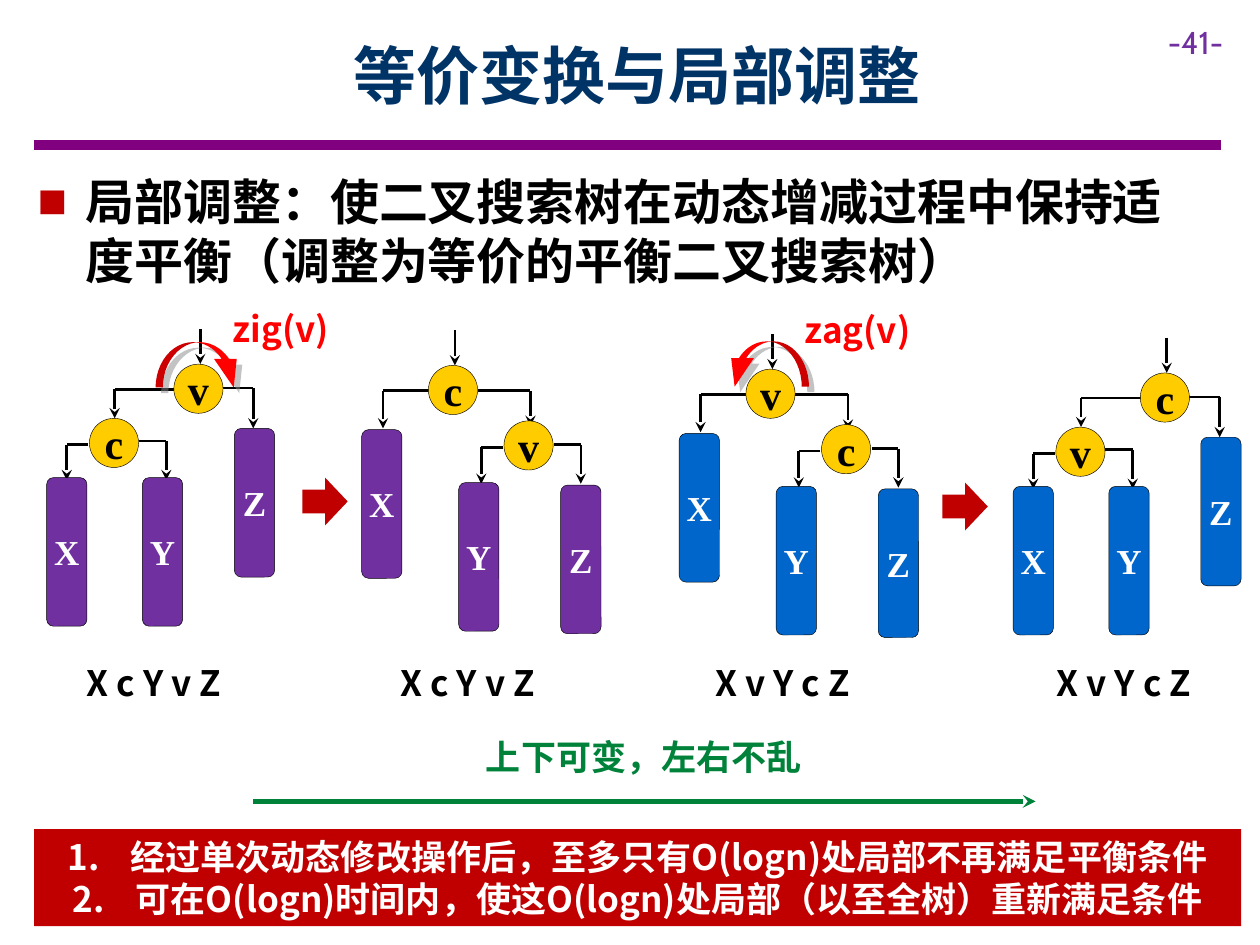
"""Build the slide on equivalent transformation and local adjustment of search trees."""
import lxml.etree
import pptx
import pptx.dml.color
import pptx.enum.shapes
import pptx.enum.text
import pptx.oxml
import pptx.oxml.ns
import pptx.util

Inches, Pt = pptx.util.Inches, pptx.util.Pt
rgb = pptx.dml.color.RGBColor.from_string
qn = pptx.oxml.ns.qn
SHAPE = pptx.enum.shapes.MSO_SHAPE
ALIGN = pptx.enum.text.PP_ALIGN
ANCHOR = pptx.enum.text.MSO_ANCHOR
NOTO, TIMES = "Noto Sans CJK SC", "Times New Roman"
RED, GREEN, PURPLE, BLUE = "C00000", "00823B", "7030A0", "0066CC"


def write(sp, text, size=20, font=NOTO, color="000000", bold=True, align=ALIGN.LEFT,
          anchor=ANCHOR.TOP, margins=(0.1, 0.05), indent=0, bullet=(), after=0):
    tf = sp.text_frame
    tf.word_wrap = True
    tf.vertical_anchor = anchor
    tf.margin_left = tf.margin_right = Inches(margins[0])
    tf.margin_top = tf.margin_bottom = Inches(margins[1])
    for i, line_text in enumerate(text.split("\n")):
        p = tf.add_paragraph() if i else tf.paragraphs[0]
        pPr = p._p.get_or_add_pPr()
        if indent:
            pPr.set("marL", str(Inches(indent)))
            pPr.set("indent", str(-Inches(indent)))
        for tag, attrs in bullet:
            lxml.etree.SubElement(pPr, qn(tag), attrs)
            if tag == "a:buClr":
                lxml.etree.SubElement(pPr[-1], qn("a:srgbClr"), val=RED)
        p.alignment = align
        p.space_before = Pt(0)
        p.space_after = Pt(after)
        r = p.add_run()
        r.text = line_text
        r.font.size = Pt(size)
        r.font.bold = bold
        r.font.name = font
        r.font.color.rgb = rgb(color)
        lxml.etree.SubElement(r._r.get_or_add_rPr(), qn("a:ea"), typeface=font)


def line(x1, y1, x2, y2, color="000000", width=1.5, arrow=False):
    cx = s.shapes.add_connector(pptx.enum.shapes.MSO_CONNECTOR.STRAIGHT,
                                Inches(x1), Inches(y1), Inches(x2), Inches(y2))
    cx.line.color.rgb = rgb(color)
    cx.line.width = Pt(width)
    if arrow:
        lxml.etree.SubElement(cx.line._get_or_add_ln(), qn("a:tailEnd"), type="stealth")
    lxml.etree.SubElement(cx._element.spPr, qn("a:effectLst"))


prs = pptx.Presentation()
prs.slide_width, prs.slide_height = Inches(10), Inches(7.5)
s = prs.slides.add_slide(prs.slide_layouts[5])

title = s.shapes.title
title.left, title.top, title.width, title.height = map(Inches, (0.9, 0.09, 8.31, 1))
write(title, "等价变换与局部调整", size=36, color="003366", align=ALIGN.CENTER,
      anchor=ANCHOR.MIDDLE)
line(0.27, 1.15, 9.69, 1.15, "800080", 6)

square = [("a:buClr", {}), ("a:buFont", {"typeface": TIMES}), ("a:buChar", {"char": "■"})]
zig_zag = {"color": "FF0000", "after": 6}
texts = [
    (9.17, 0.13, 0.83, 0.4, "-41-",
     {"size": 18, "font": "Cabin", "color": PURPLE, "bold": False}),
    (0.2, 1.31, 9.21, 1.04,
     "局部调整：使二叉搜索树在动态增减过程中保持适度平衡（调整为等价的平衡二叉搜索树）",
     {"size": 28, "indent": 0.38, "bullet": square, "after": 6}),
    (3.56, 5.79, 3.1, 0.44, "上下可变，左右不乱", {"color": GREEN, "align": ALIGN.CENTER}),
    (0.59, 5.2, 1.41, 0.44, "X c Y v Z", {"after": 6}),
    (3.08, 5.2, 1.41, 0.44, "X c Y v Z", {"after": 6}),
    (5.58, 5.2, 1.42, 0.44, "X v Y c Z", {"after": 6}),
    (8.29, 5.2, 1.42, 0.44, "X v Y c Z", {"after": 6}),
    (1.75, 2.39, 1.03, 0.44, "zig(v)", zig_zag),
    (6.29, 2.4, 1.07, 0.44, "zag(v)", zig_zag),
]
for x, y, w, h, text, fmt in texts:
    write(s.shapes.add_textbox(Inches(x), Inches(y), Inches(w), Inches(h)), text, **fmt)

left_heavy = {
    "child": (-0.67, 0.43),
    "leaves": [("X", -1.01, 0.9), ("Y", -0.25, 0.9), ("Z", 0.48, 0.51)],
    "edges": [(0.05, 0.2, -0.47, 0.43), (0.39, 0.19, 0.63, 0.51),
              (-0.68, 0.64, -0.85, 0.92), (-0.28, 0.61, -0.06, 0.92)],
}
right_heavy = {
    "child": (0.6, 0.44),
    "leaves": [("X", -0.53, 0.51), ("Y", 0.24, 0.93), ("Z", 1.05, 0.95)],
    "edges": [(0.05, 0.2, -0.36, 0.5), (0.39, 0.2, 0.81, 0.48),
              (0.59, 0.65, 0.42, 0.94), (1, 0.63, 1.21, 0.94)],
}
trees = [
    (1.38, 2.89, "v", "c", left_heavy, PURPLE),
    (3.4, 2.9, "c", "v", right_heavy, PURPLE),
    (5.92, 2.93, "v", "c", right_heavy, BLUE),
    (9.05, 2.96, "c", "v", left_heavy, BLUE),
]
for x, y, root, child, form, color in trees:
    line(x + 0.21, y - 0.28, x + 0.21, y, arrow=True)
    for x1, y1, x2, y2 in form["edges"]:
        line(x + x1, y + y1, x + x2, y + y1)
        line(x + x2, y + y1, x + x2, y + y2, arrow=True)
    nodes = [(root, 0, 0, 0.39, 0.39, "FFCC00", "000000", 24, 0.5),
             (child, *form["child"], 0.39, 0.39, "FFCC00", "000000", 24, 0.5)]
    nodes += [(*leaf, 0.32, 1.18, color, "FFFFFF", 20, 0.17) for leaf in form["leaves"]]
    for label, dx, dy, w, h, fill, ink, size, radius in nodes:
        sp = s.shapes.add_shape(SHAPE.ROUNDED_RECTANGLE, Inches(x + dx), Inches(y + dy),
                                Inches(w), Inches(h))
        sp.adjustments[0] = radius
        sp.shadow.inherit = False
        sp.fill.solid()
        sp.fill.fore_color.rgb = rgb(fill)
        sp.line.color.rgb = rgb("000000")
        sp.line.width = Pt(0.25)
        write(sp, label, size=size, font=TIMES, color=ink, align=ALIGN.CENTER,
              anchor=ANCHOR.MIDDLE, margins=(0, 0.1))

line(2.01, 6.36, 8.22, 6.36, GREEN, 2.5, arrow=True)

blocks = [
    (SHAPE.RIGHT_ARROW, 2.4, 3.79, 0.36, 0.38, RED),
    (SHAPE.RIGHT_ARROW, 7.48, 3.83, 0.36, 0.38, RED),
    (SHAPE.CURVED_LEFT_ARROW, 1.41, 2.54, 0.36, 0.71, "FF0000"),
    (SHAPE.CURVED_LEFT_ARROW, 5.9, 2.55, 0.36, 0.68, "FF0000"),
    (SHAPE.RECTANGLE, 0.27, 6.58, 9.58, 0.77, RED),
]
for kind, x, y, w, h, fill in blocks:
    sp = s.shapes.add_shape(kind, Inches(x), Inches(y), Inches(w), Inches(h))
    sp.shadow.inherit = False
    sp.fill.solid()
    sp.fill.fore_color.rgb = rgb(fill)
    sp.line.fill.background()
    if kind == SHAPE.CURVED_LEFT_ARROW:
        sp.rotation = 270
        for i, value in enumerate((0.16, 0.5, 0.63)):
            sp.adjustments[i] = value
        if x > 5:
            sp._element.spPr.xfrm.set("flipV", "1")
        shadow = lxml.etree.SubElement(
            sp._element.spPr.find(qn("a:effectLst")), qn("a:outerShdw"),
            dist=str(Pt(4.5)), dir="2700000", rotWithShape="0")
        tint = lxml.etree.SubElement(shadow, qn("a:srgbClr"), val="888888")
        lxml.etree.SubElement(tint, qn("a:alpha"), val="50000")

write(sp, "经过单次动态修改操作后，至多只有O(logn)处局部不再满足平衡条件\n"
      "可在O(logn)时间内，使这O(logn)处局部（以至全树）重新满足条件",
      color="FFFFFF", align=ALIGN.CENTER, indent=0.5,
      bullet=[("a:buFont", {"typeface": NOTO}), ("a:buAutoNum", {"type": "arabicPeriod"})])

prs.save("out.pptx")
